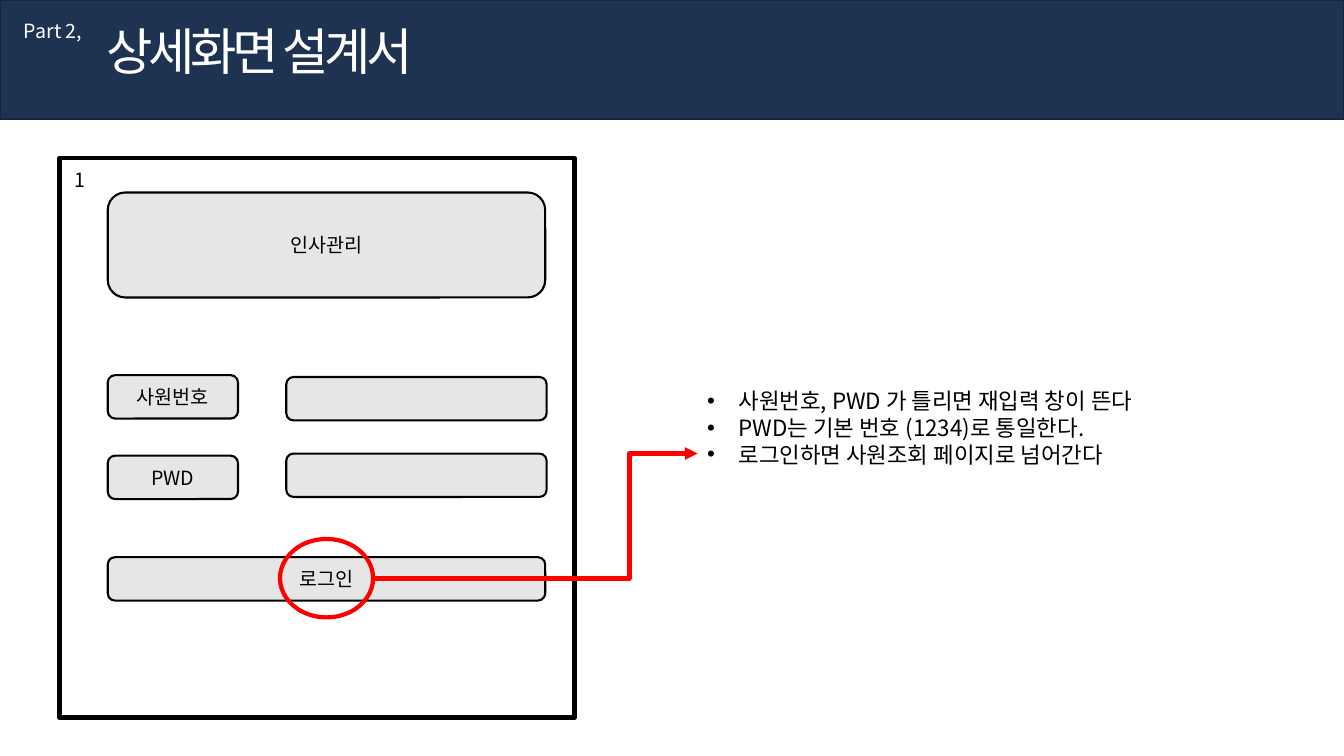
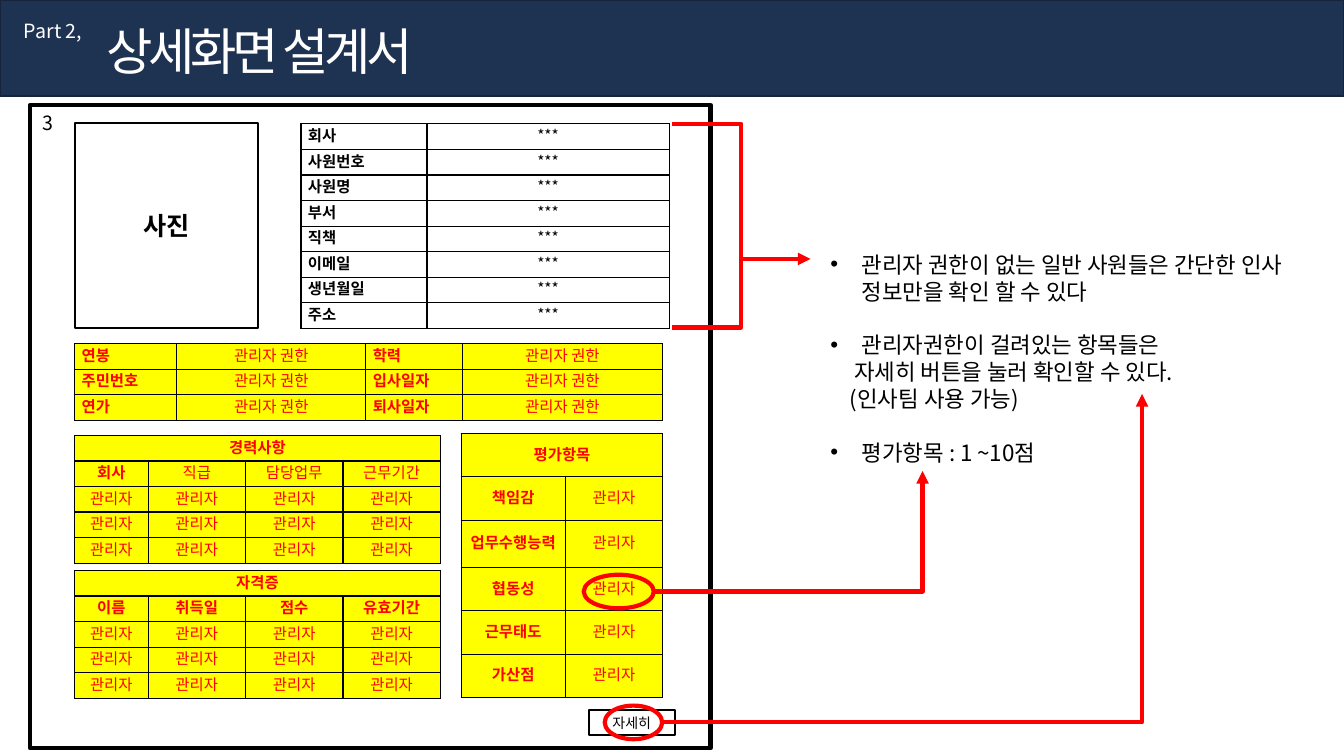
import pptx
import pptx.util
import pptx.dml.color
import pptx.enum.shapes
import pptx.enum.text
import pptx.oxml
import pptx.oxml.ns

Pt = pptx.util.Pt
MSO = pptx.enum.shapes.MSO_SHAPE
ALIGN = pptx.enum.text.PP_ALIGN
ANCHOR = pptx.enum.text.MSO_ANCHOR
NS = pptx.oxml.ns.nsdecls("a")


class Deck:
    """Style of the screen design document and the slide being drawn."""

    font = "Noto Sans CJK KR"
    colors = {"band": "1E3252", "band_edge": "16253D", "white": "FFFFFF", "ink": "000000",
              "gray": "E7E6E6", "red": "FF0000", "yellow": "FFFF00"}
    leading = 1.2
    indent = 22.5

    def __init__(self, width, height):
        self.prs = pptx.Presentation()
        self.prs.slide_width, self.prs.slide_height = Pt(width), Pt(height)
        self.width = width

    def rgb(self, name):
        return pptx.dml.color.RGBColor.from_string(self.colors[name])

    def box(self, *lengths):
        return [Pt(v) for v in lengths]

    def xml(self, parent, markup):
        tag, _, rest = markup.partition(" ")
        parent.append(pptx.oxml.parse_xml(f"<a:{tag} {NS} {rest}"))

    def fill(self, target, color):
        if color:
            target.fill.solid()
            target.fill.fore_color.rgb = self.rgb(color)
        else:
            target.fill.background()

    def outline(self, sp, color, weight):
        sp.line.color.rgb = self.rgb(color)
        sp.line.width = Pt(weight)

    def add_text(self, p, text, size, color="ink", bold=False, align=ALIGN.LEFT, tracking=0):
        p.alignment = align
        p.line_spacing = Pt(size * self.leading)
        r = p.add_run()
        r.text = text
        for key, value in {"size": Pt(size), "bold": bold, "name": self.font}.items():
            setattr(r.font, key, value)
        r.font.color.rgb = self.rgb(color)
        rpr = r.font._element
        self.xml(rpr, f'ea typeface="{self.font}"/>')
        if tracking:
            rpr.set("spc", str(tracking * 100))

    def slide(self, band_height):
        self.current = self.prs.slides.add_slide(self.prs.slide_layouts[6])
        self.shapes = self.current.shapes
        self.shape(MSO.RECTANGLE, 0, 0, self.width, band_height, "band", "band_edge", 1)
        self.text("상세화면 설계서", 69, 11, 496, 51, 36, "white", tracking=-3)
        self.text("Part 2,", 10, 10, 61, 24.5, 14, "white")

    def shape(self, kind, x, y, w, h, fill=None, line="ink", weight=1.5, text="", size=14, bold=False):
        sp = self.shapes.add_shape(kind, *self.box(x, y, w, h))
        sp.shadow.inherit = False
        self.fill(sp, fill)
        self.outline(sp, line, weight)
        if text:
            tf = sp.text_frame
            tf.vertical_anchor = ANCHOR.MIDDLE
            self.add_text(tf.paragraphs[0], text, size, bold=bold, align=ALIGN.CENTER)

    def button(self, x, y, w, h, text=""):
        self.shape(MSO.ROUNDED_RECTANGLE, x, y, w, h, "gray", text=text)

    def frame(self, x, y, w, h):
        self.shape(MSO.RECTANGLE, x, y, w, h, weight=3)

    def ring(self, x, y, w, h):
        self.shape(MSO.OVAL, x, y, w, h, line="red", weight=3)

    def text_frame(self, x, y, w, h):
        tf = self.shapes.add_textbox(*self.box(x, y, w, h)).text_frame
        tf.word_wrap = True
        return tf

    def text(self, text, x, y, w, h, size, color="ink", tracking=0):
        tf = self.text_frame(x, y, w, h)
        self.add_text(tf.paragraphs[0], text, size, color, tracking=tracking)

    def notes(self, x, y, w, h, items, size=16):
        tf = self.text_frame(x, y, w, h)
        for i, (text, gap, margin) in enumerate(items):
            p = tf.add_paragraph() if i else tf.paragraphs[0]
            self.add_text(p, text, size)
            p.space_before = Pt(gap)
            ppr = p._p.get_or_add_pPr()
            bulleted = margin == self.indent
            ppr.set("marL", str(Pt(margin)))
            ppr.set("indent", str(-Pt(margin) if bulleted else 0))
            if bulleted:
                self.xml(ppr, 'buFont typeface="Arial"/>')
                self.xml(ppr, 'buChar char="•"/>')

    def elbow(self, x1, y1, x2, y2, bend=0.5, arrow=True):
        kind = pptx.enum.shapes.MSO_CONNECTOR.ELBOW
        sp = self.shapes.add_connector(kind, *self.box(x1, y1, x2, y2))
        self.outline(sp, "red", 3)
        spr = sp._element.spPr
        guide = f'gd name="adj1" fmla="val {round(bend * 100000)}"/>'
        self.xml(spr.find(".//" + pptx.oxml.ns.qn("a:avLst")), guide)
        if arrow:
            self.xml(spr.find(pptx.oxml.ns.qn("a:ln")), 'tailEnd type="triangle"/>')
        self.xml(spr, "effectLst />")

    def table(self, x, y, cols, heights, rows, bold, left=False, color="red", fill="yellow",
              anchor=ANCHOR.TOP):
        size = self.box(x, y, sum(cols), sum(heights))
        table = self.shapes.add_table(len(rows), len(cols), *size).table
        table.first_row = table.horz_banding = False
        for col, width in zip(table.columns, cols):
            col.width = Pt(width)
        for row, height in zip(table.rows, heights):
            row.height = Pt(height)
        for r, row in enumerate(rows):
            for c in range(len(cols)):
                cell = table.cell(r, c)
                self.cell(cell, fill, anchor)
                if c < len(row):
                    strong = bold(r, c)
                    align = ALIGN.LEFT if left and strong else ALIGN.CENTER
                    self.add_text(cell.text_frame.paragraphs[0], row[c], 11, color, strong, align)
            if len(row) == 1:
                table.cell(r, 0).merge(table.cell(r, len(cols) - 1))

    def cell(self, cell, fill, anchor):
        margins = {"margin_left": Pt(5), "margin_right": Pt(5), "margin_top": Pt(2.5),
                   "margin_bottom": Pt(2.5), "vertical_anchor": anchor}
        for key, value in margins.items():
            setattr(cell, key, value)
        for side in "LRTB":
            self.xml(cell._tc.get_or_add_tcPr(),
                     f'ln{side} w="{Pt(1)}"><a:solidFill><a:srgbClr val="{self.colors["ink"]}"/>'
                     f"</a:solidFill></a:ln{side}>")
        self.fill(cell, fill)


def login_slide(d):
    d.slide(85)
    for y, label in ((268, "사원번호"), (325.5, "PWD")):
        d.button(77, y, 93, 31, label)
    for y in (269.3, 324):
        d.button(204.5, y, 186, 31)
    d.button(77, 137.5, 312.5, 75, "인사관리")
    d.button(77, 398, 312.5, 31, "로그인")
    d.frame(42.5, 113, 368, 399.6)
    d.text("1", 46, 116.5, 23, 24.5, 14)
    lines = ("사원번호, PWD 가 틀리면 재입력 창이 뜬다", "PWD는 기본 번호 (1234)로 통일한다.",
             "로그인하면 사원조회 페이지로 넘어간다")
    d.notes(498, 273, 361.5, 85, [(line, 0, d.indent) for line in lines])
    d.ring(200, 385, 66.5, 56)
    d.elbow(266.5, 413.3, 498.3, 324, 0.79)


def employee_slide(d):
    d.slide(68.5)
    gap = 19.2
    d.notes(586, 175.6, 352, 201, [
        ("관리자 권한이 없는 일반 사원들은 간단한 인사 정보만을 확인 할 수 있다", 0, d.indent),
        ("관리자권한이 걸려있는 항목들은", gap, d.indent),
        ("자세히 버튼을 눌러 확인할 수 있다.", 0, 17),
        ("(인사팀 사용 가능)", 0, 14),
        ("평가항목 : 1 ~10점", gap, d.indent)])
    d.frame(21.5, 75, 486, 459.5)
    d.text("3", 23, 76, 27, 24.5, 14)
    d.shape(MSO.RECTANGLE, 53.3, 88, 131, 146, text="사진", size=18, bold=True)

    line = 18.27
    profile = ("회사", "사원번호", "사원명", "부서", "직책", "이메일", "생년월일", "주소")
    d.table(215, 88.5, (90, 173), [line] * 8, [(name, "***") for name in profile],
            lambda r, c: c == 0, True, "ink", None)
    private = (("연봉", "학력"), ("주민번호", "입사일자"), ("연가", "퇴사일자"))
    locked = "관리자 권한"
    d.table(53.3, 245.5, (73, 135, 69, 143), [line] * 3,
            [(a, locked, b, locked) for a, b in private], lambda r, c: c % 2 == 0, True)
    d.shape(MSO.RECTANGLE, 420.5, 507.5, 61.5, 17.3, text="자세히", size=10)

    admin = "관리자"
    histories = (
        (311, "경력사항", ("회사", "직급", "담당업무", "근무기간"), lambda r, c: r == 0 or (r, c) == (1, 0)),
        (407.5, "자격증", ("이름", "취득일", "점수", "유효기간"), lambda r, c: r < 2))
    for y, title, heads, bold in histories:
        d.table(53.3, y, (52.5, 69.6, 69.6, 69.6), [line] * 5,
                [(title,), heads] + [(admin,) * 4] * 3, bold)
    ratings = ("책임감", "업무수행능력", "협동성", "근무태도", "가산점")
    d.table(329.5, 309.6, (74.2, 69.8), (31, 31, 33.8, 31, 31, 31),
            [("평가항목",)] + [(name, admin) for name in ratings],
            lambda r, c: r == 0 or c == 0, anchor=ANCHOR.MIDDLE)

    d.ring(432, 504, 41, 24)
    d.elbow(473, 516, 815.8, 281.5, 1)
    d.ring(417, 410.5, 50, 24)
    d.elbow(467, 422.5, 659, 336.5, 1)
    d.elbow(480, 88.5, 579, 185, 0.5)
    d.elbow(480, 234, 529.2, 185, 1, arrow=False)


def main():
    d = Deck(960, 540)
    login_slide(d)
    employee_slide(d)
    d.prs.save("out.pptx")


if __name__ == "__main__":
    main()
